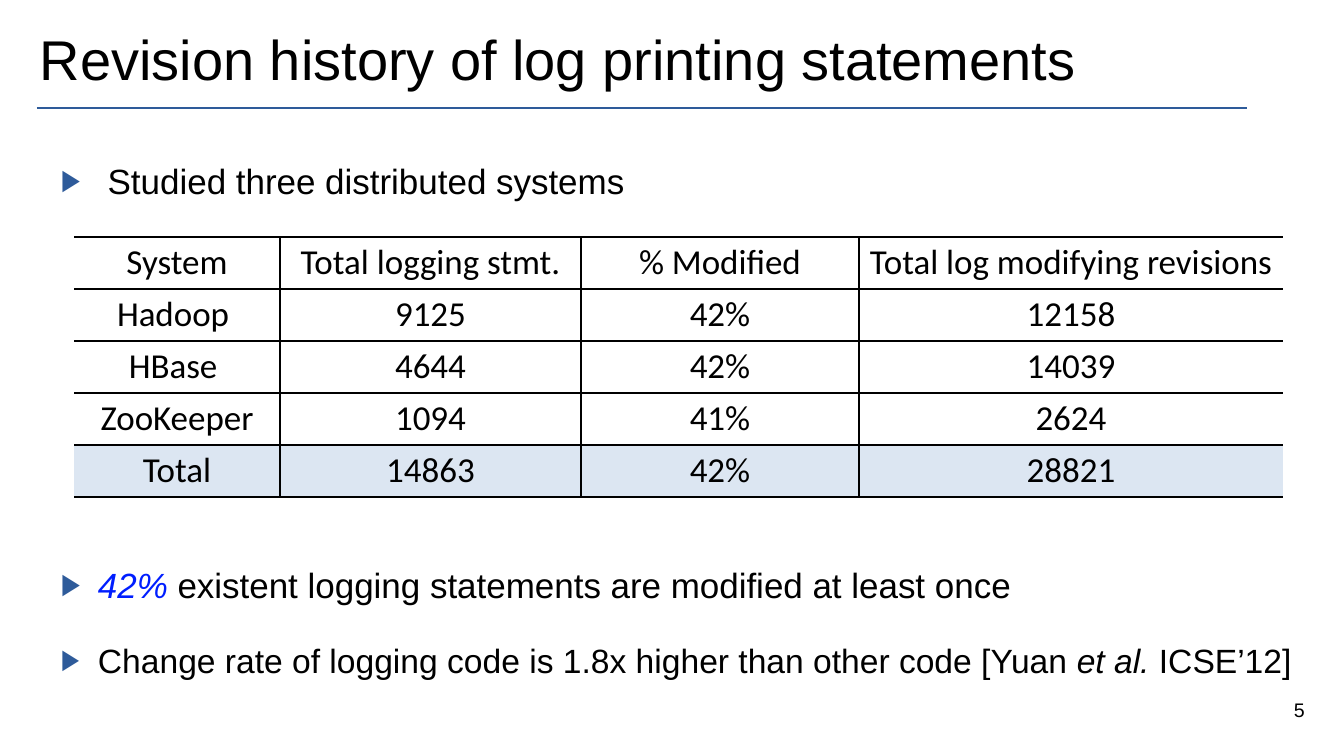
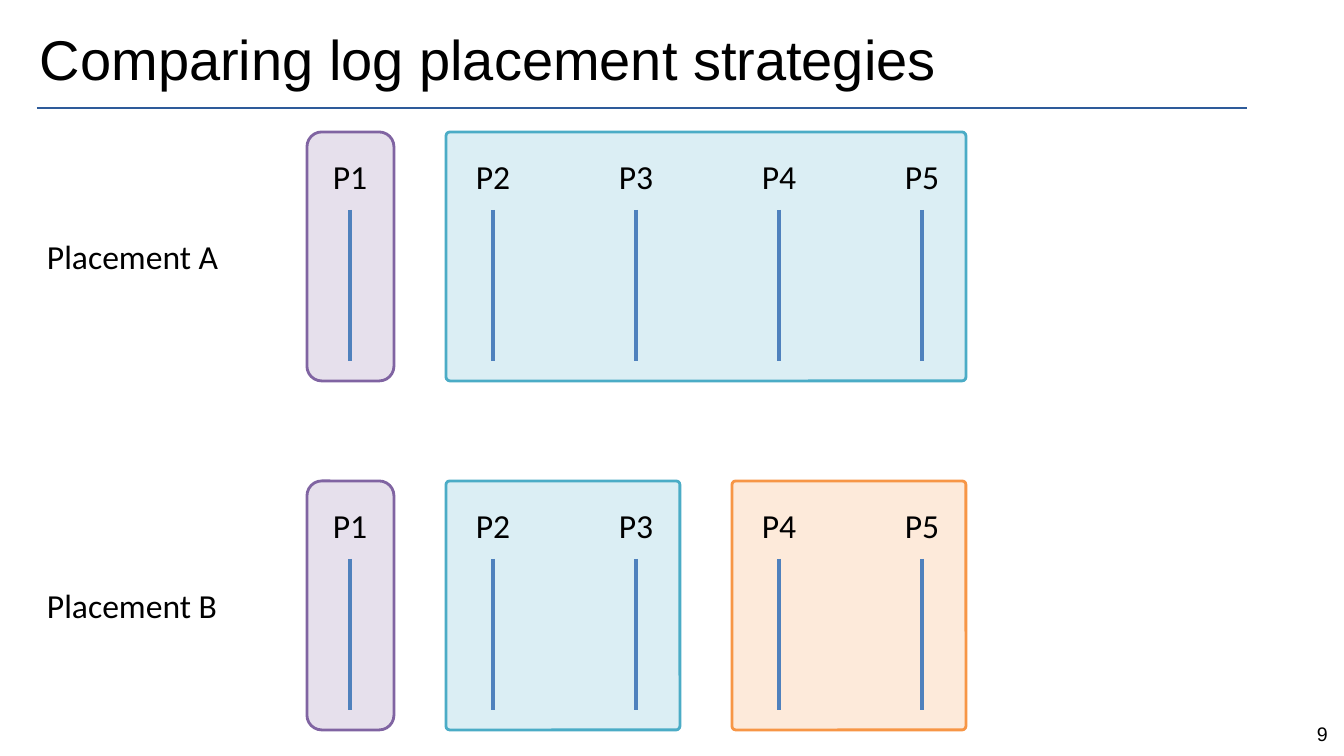
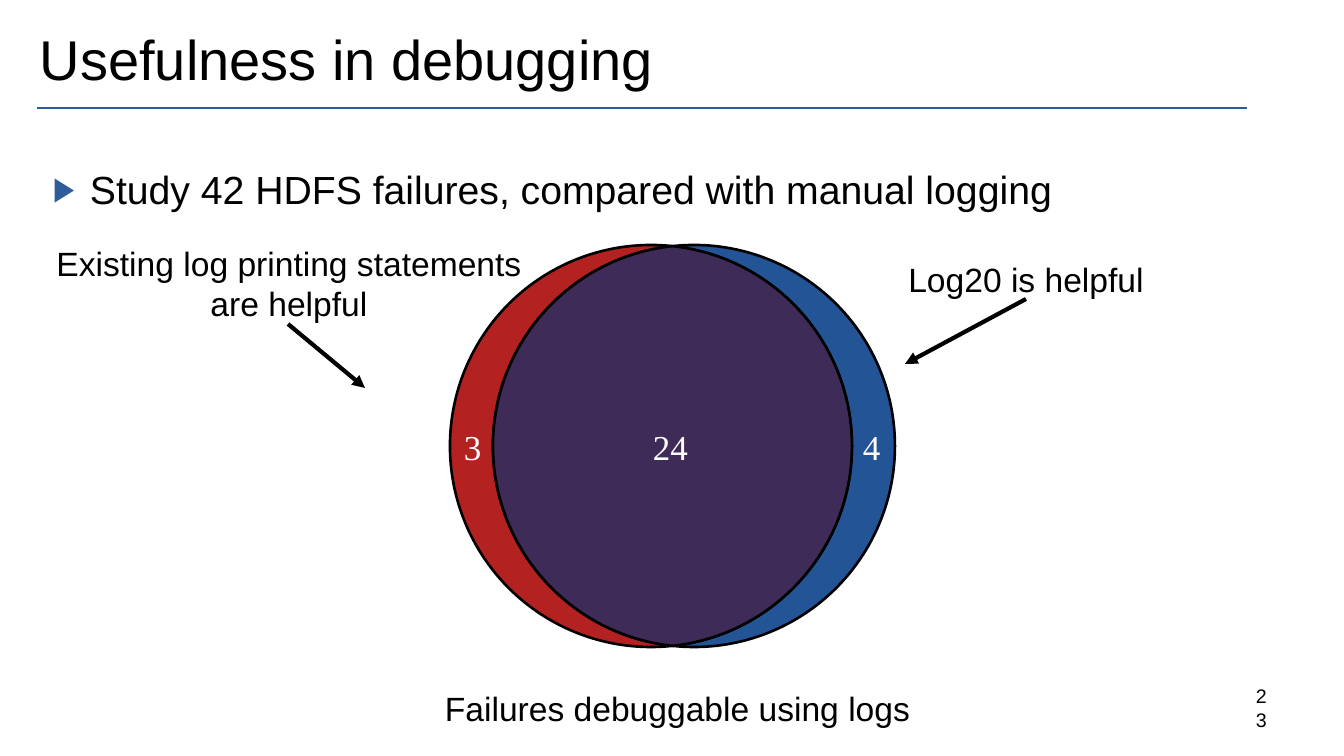
from math import acos, ceil, cos, pi, sin, tan
from lxml import etree
from pptx import Presentation
from pptx.dml.color import RGBColor
from pptx.enum import shapes, text as txt
from pptx.oxml.ns import qn
from pptx.util import Emu, Pt

PX = 914400 / 100.8
INK = {
    "black": "000000", "white": "FFFFFF", "rule": "2E5B9A", "accent": "001EFF",
    "total": "DCE6F2", "path": "4F81BD", "red": "B42121", "blue": "235496", "both": "3E2B57",
}
BOXES = {
    "violet": ("E6E0EC", "8064A2", 43, 0.17),
    "teal": ("DBEEF4", "4BACC6", 47, 0.016),
    "orange": ("FDEADA", "F79646", 47, 0.016),
}
TITLES = [
    ("Revision history of log printing statements", "5", (1284, 693)),
    ("Comparing log placement strategies", "9", (1307, 717)),
    ("Usefulness in debugging", "23", (1246, 679)),
]
ROWS = [
    ("System", "Total logging stmt.", "% Modified", "Total log modifying revisions"),
    ("Hadoop ", "9125", "42%", "12158"),
    ("HBase ", "4644", "42%", "14039"),
    ("ZooKeeper", "1094", "41%", "2624"),
    ("Total", "14863", "42%", "28821"),
]
COLS = (206, 301, 278, 424)
POINTS = [
    (" Studied three distributed systems", 25, 0),
    ([("42% ", {"italic": True, "ink": "accent"}),
      ("existent logging statements are modified at least once", {})], 25, 241),
    ([("Change rate of logging code is 1.8x higher than other code [Yuan ", {}),
      ("et al.", {"italic": True}), (" ICSE’12]", {})], 24, 7),
]
STUDY = [("Study 42 HDFS failures, compared with manual logging", 28, 0)]
PLANS = [
    ("Placement A", [("violet", 1, 1), ("teal", 2, 5)]),
    ("Placement B", [("violet", 1, 1), ("teal", 2, 3), ("orange", 4, 5)]),
]
CALLS = [
    ((51, 243, 476, 82), "Existing log printing statements\nare helpful"),
    ((907, 259, 238, 40), "Log20 is helpful"),
    ((442, 688, 471, 40), "Failures debuggable using logs"),
]
ARROWS = [(288, 324, 365, 388), (1026, 299, 905, 364)]
COUNTS = [("3", 464, 32), ("4", 863, 32), ("24", 653, 48)]


def px(n):
    return Emu(round(n * PX))


def rgb(name):
    return RGBColor.from_string(INK.get(name, name))


def sub(parent, tag, **attrs):
    return etree.SubElement(parent, qn(tag), attrs)


def write(para, text, size=24, font="Arial", ink="black", center=False, bullet=False, before=0):
    para.alignment = txt.PP_ALIGN.CENTER if center else txt.PP_ALIGN.LEFT
    if before:
        para.space_before = Pt(before)
    if bullet:
        para.line_spacing = 1.6
        props = para._p.get_or_add_pPr()
        props.set("marL", str(px(37)))
        props.set("indent", str(-px(37)))
        sub(sub(props, "a:buClr"), "a:srgbClr", val=INK["rule"])
        sub(props, "a:buSzPct", val="85000")
        sub(props, "a:buFont", typeface="Arial")
        sub(props, "a:buChar", char="▶")
    for words, style in [(text, {})] if isinstance(text, str) else text:
        for i, line in enumerate(words.split("\n")):
            if i:
                para.add_line_break()
            run = para.add_run()
            run.text = line
            run.font.size, run.font.name = Pt(size), font
            run.font.italic = style.get("italic", False)
            run.font.color.rgb = rgb(style.get("ink", ink))


def frame(slide, box, side=10, edge=5):
    body = slide.shapes.add_textbox(*map(px, box)).text_frame
    body.word_wrap = True
    body.margin_left = body.margin_right = px(side)
    body.margin_top = body.margin_bottom = px(edge)
    return body


def label(slide, box, text, tight=False, **style):
    body = frame(slide, box, 0, 0) if tight else frame(slide, box)
    write(body.paragraphs[0], text, **style)
    return body


def points(slide, box, items):
    body = frame(slide, box)
    for i, (words, size, before) in enumerate(items):
        para = body.add_paragraph() if i else body.paragraphs[0]
        write(para, words, size=size, before=before, bullet=True)


def rule(slide, ends, ink, width, arrow=False):
    line = slide.shapes.add_connector(shapes.MSO_CONNECTOR.STRAIGHT, *map(px, ends))
    line.line.color.rgb, line.line.width = rgb(ink), Pt(width)
    props = line._element.spPr
    if arrow:
        sub(props.find(qn("a:ln")), "a:tailEnd", type="triangle")
    sub(props, "a:effectLst")


def paint(shape, fill, ink, width):
    shape.shadow.inherit = False
    shape.fill.solid()
    shape.fill.fore_color.rgb = rgb(fill)
    shape.line.color.rgb, shape.line.width = rgb(ink), Pt(width)


def border(cell, sides):
    props = cell._tc.get_or_add_tcPr()
    for i, side in enumerate("LRTB"):
        line = etree.Element(qn("a:ln" + side), w=str(Pt(1)))
        if side in sides:
            sub(sub(line, "a:solidFill"), "a:srgbClr", val=INK["black"])
        else:
            sub(line, "a:noFill")
        props.insert(i, line)


def grid(slide):
    table = slide.shapes.add_table(
        len(ROWS), len(COLS), px(74), px(237), px(sum(COLS)), px(52 * len(ROWS))).table
    table.first_row = table.horz_banding = False
    for col, width in zip(table.columns, COLS):
        col.width = px(width)
    for r, row in enumerate(ROWS):
        table.rows[r].height = px(52)
        for c, value in enumerate(row):
            cell = table.cell(r, c)
            cell.margin_left = cell.margin_right = cell.margin_top = cell.margin_bottom = 0
            cell.vertical_anchor = txt.MSO_ANCHOR.MIDDLE
            if r == len(ROWS) - 1:
                cell.fill.solid()
                cell.fill.fore_color.rgb = rgb("total")
            else:
                cell.fill.background()
            border(cell, "TB" + "L" * (c > 0) + "R" * (c < len(COLS) - 1))
            write(cell.text_frame.paragraphs[0], value, size=25, font="Calibri", center=True)


def plan(slide, name, groups, top):
    mid = [350 + 143 * i for i in range(5)]
    label(slide, (37, top + 99, 194, 50), name, font="Calibri")
    for kind, first, last in groups:
        fill, ink, pad, bend = BOXES[kind]
        left = mid[first - 1] - pad
        box = slide.shapes.add_shape(
            shapes.MSO_SHAPE.ROUNDED_RECTANGLE,
            *map(px, (left, top, mid[last - 1] + 44 - left, 249)))
        box.adjustments[0] = bend
        paint(box, fill, ink, 2)
    for i, x in enumerate(mid, 1):
        label(slide, (x - 28, top + 19, 56, 50), f"P{i}", font="Calibri", center=True)
        rule(slide, (x, top + 78, x, top + 229), "path", 2.25)


def arc(x, start, end, y=446, radius=201):
    count = ceil(abs(end - start) / (pi / 2))
    turn = (end - start) / count
    pull = 4 / 3 * tan(turn / 4)

    def spot(a, k=0):
        return px(x + radius * (cos(a) - k * sin(a))), px(y + radius * (sin(a) + k * cos(a)))

    dots = [spot(start)]
    for i in range(count):
        a, b = start + i * turn, start + (i + 1) * turn
        dots += [spot(a, pull), spot(b, -pull), spot(b)]
    return dots


def curve(slide, dots, fill):
    pen = slide.shapes.build_freeform(*dots[0])
    pen.add_line_segments(dots[1:], close=True)
    shape = pen.convert_to_shape()
    lines = list(shape._element.iter(qn("a:lnTo")))
    for i in range(0, len(lines), 3):
        bend = etree.Element(qn("a:cubicBezTo"))
        lines[i].addprevious(bend)
        for line in lines[i:i + 3]:
            bend.append(line[0])
            line.getparent().remove(line)
    paint(shape, fill, "black", 1.88)


def venn(slide):
    left, right = 651, 694
    t = acos((right - left) / 2 / 201)
    curve(slide, arc(left, t, 2 * pi - t) + arc(right, pi + t, pi - t)[1:], "red")
    curve(slide, arc(right, t - pi, pi - t) + arc(left, t, -t)[1:], "blue")
    curve(slide, arc(left, -t, t) + arc(right, pi - t, pi + t)[1:], "both")
    for value, x, width in COUNTS:
        label(slide, (x, 426, width, 47), value, tight=True, size=25,
              font="Times New Roman", ink="white")


def main():
    deck = Presentation()
    deck.slide_width, deck.slide_height = px(1344), px(756)
    pages = []
    for title, number, spot in TITLES:
        slide = deck.slides.add_slide(deck.slide_layouts[6])
        head = label(slide, (30, -29, 1210, 126), title, size=40)
        head.vertical_anchor = txt.MSO_ANCHOR.BOTTOM
        rule(slide, (37, 108, 1247, 108), "rule", 1)
        label(slide, (*spot, 32, 34), number, size=14)
        pages.append(slide)
    history, compare, debug = pages
    points(history, (51, 129, 1292, 558), POINTS)
    grid(history)
    for i, (name, groups) in enumerate(PLANS):
        plan(compare, name, groups, 132 + 349 * i)
    points(debug, (43, 132, 1210, 499), STUDY)
    venn(debug)
    for box, words in CALLS:
        label(debug, box, words, tight=True, center=True)
    for ends in ARROWS:
        rule(debug, ends, "black", 3, arrow=True)
    deck.save("out.pptx")


if __name__ == "__main__":
    main()
